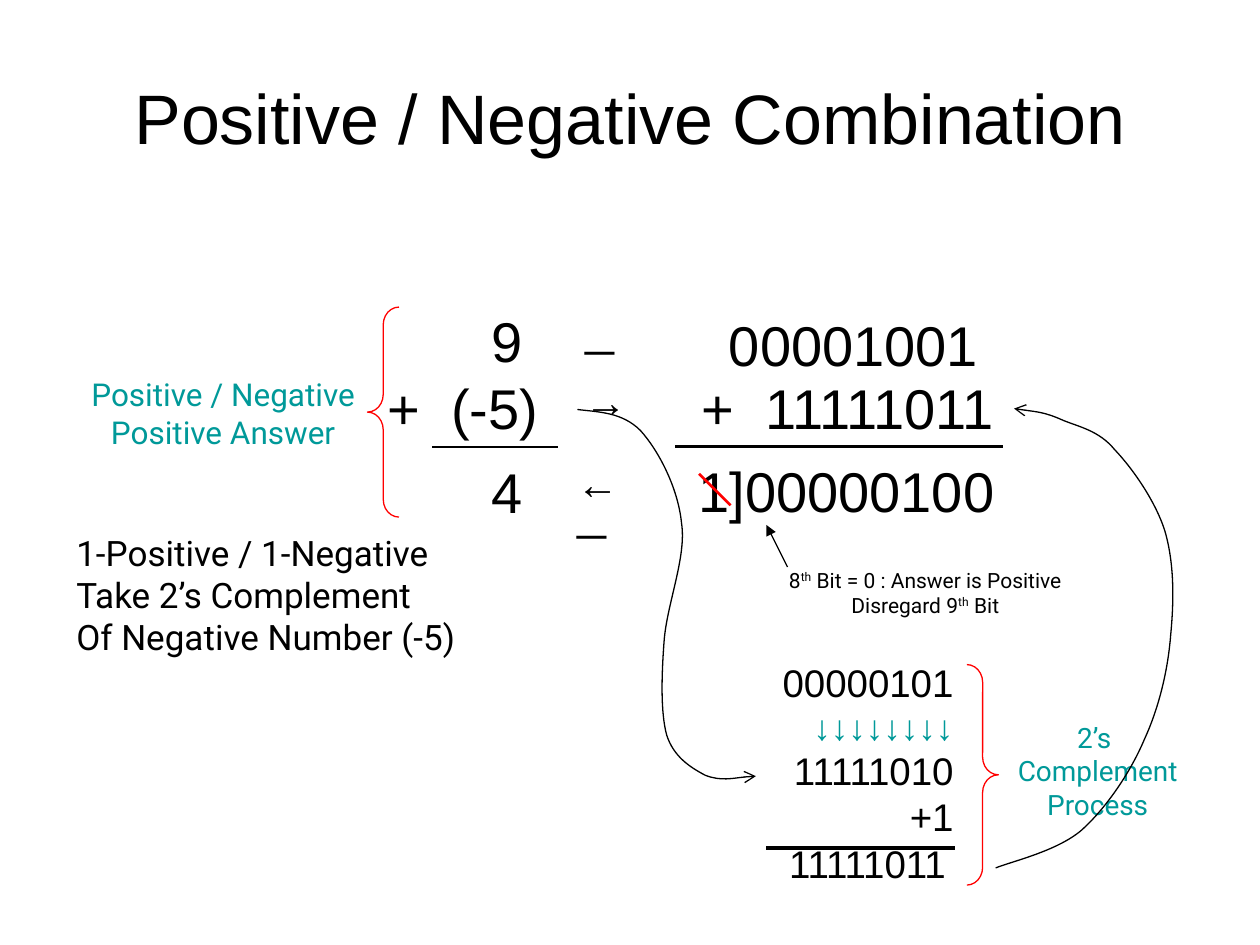
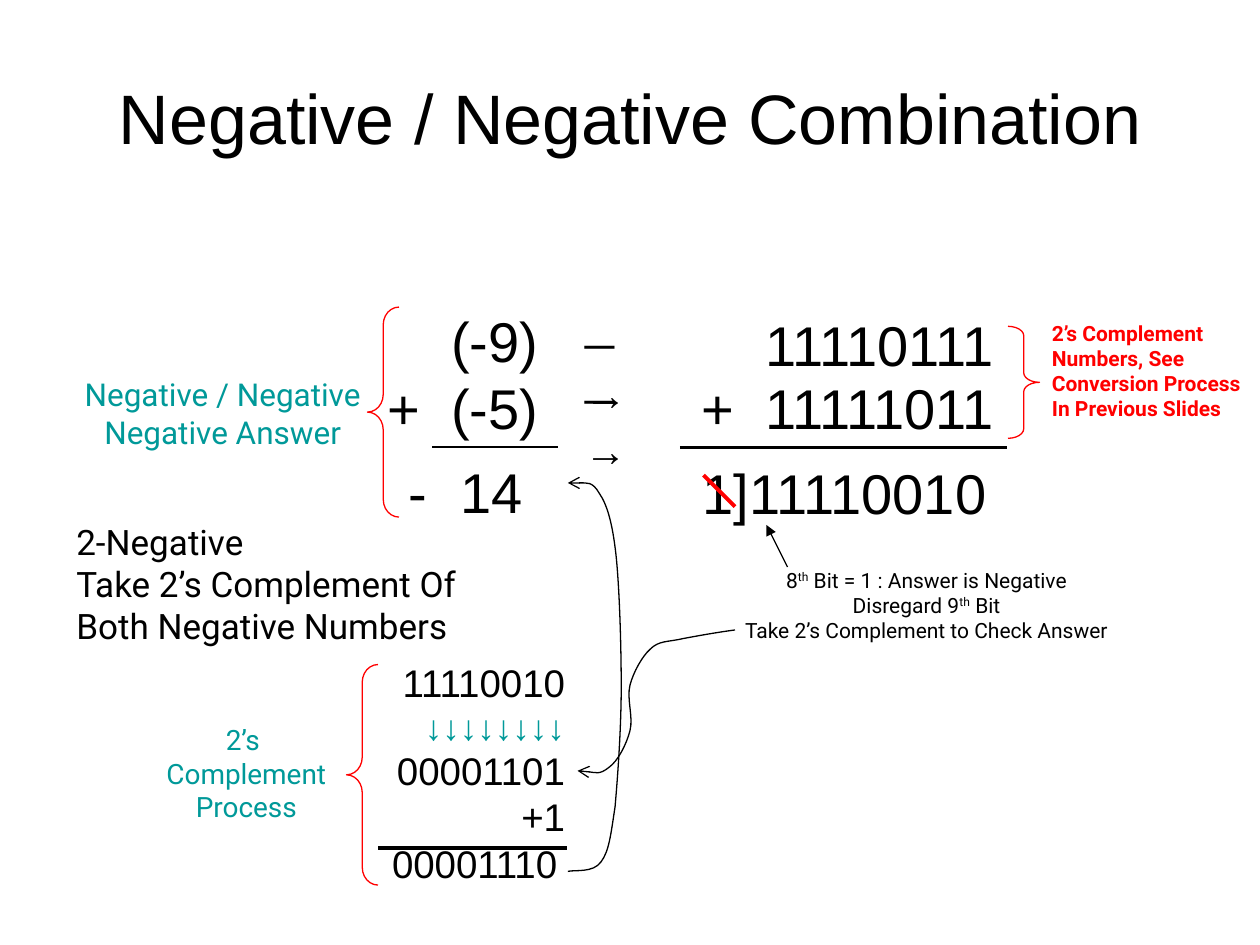
from lxml import etree
from pptx import Presentation
from pptx.dml.color import RGBColor
from pptx.enum.shapes import MSO_CONNECTOR, MSO_SHAPE
from pptx.enum.text import MSO_ANCHOR, MSO_AUTO_SIZE, PP_ALIGN
from pptx.oxml.ns import qn
from pptx.util import Pt

BLACK = RGBColor(0, 0, 0)
TEAL = RGBColor(0, 0x99, 0x99)
RED = RGBColor(0xFF, 0, 0)
SUM_FONT, NOTE_FONT = "Arial", "Roboto"
LEFT, CENTER, RIGHT = PP_ALIGN.LEFT, PP_ALIGN.CENTER, PP_ALIGN.RIGHT
STRAIGHT = MSO_CONNECTOR.STRAIGHT
LEFT_BRACE, RIGHT_BRACE = MSO_SHAPE.LEFT_BRACE, MSO_SHAPE.RIGHT_BRACE

# Tab stops (position, alignment) that line up signs and digits
SIGN_STOP = (22, "l")
MINUS_STOP = (12, "l")
BITS_END = (189, "r")
BITS_END_INSET = (180, "r")
BRACKET_END = (86, "r")
DIGIT_END = (77, "r")

# Content: places are in points, curves are a start and triples of Bezier points
SLIDES = [
    dict(
        title="Positive / Negative Combination",
        kind=["Positive / Negative", "Positive Answer"], kind_box=(42, 211, 171, 50),
        rule=["1-Positive / 1-Negative", "Take 2’s Complement", "Of Negative Number (-5)"],
        rule_box=(36.5, 300, 245, 79),
        decimal=[("\t9", [DIGIT_END]), ("+\t(-5)", [BRACKET_END]), ("\t4", [DIGIT_END])],
        top_bits=("\t00001001", [BITS_END_INSET]),
        answer="1]00000100", answer_left=386, answer_top=255, strike_width=1.5, strike_left=399.5,
        arrows=[("─→", 327, 182, 65), ("←─", 322.5, 258, 36)],
        bit_note=["8^th^ Bit = 0 : Answer is Positive", "Disregard 9^th^ Bit"],
        bit_note_box=(440.5, 320.5, 176.5, 36),
        process=["00000101", "11111010", "11111011"], process_left=414,
        process_brace=RIGHT_BRACE, process_brace_left=552.5, process_label=(571.5, 408),
        curves=[
            [(330, 234), (342, 235.5), (355.5, 235.5), (366, 246),
             (376, 257), (387.5, 278.5), (389.5, 299),
             (392.5, 318), (381, 345.5), (379.5, 366.5),
             (378, 386.5), (377.5, 407), (381, 420),
             (385, 432.5), (394.5, 438.5), (403, 443),
             (412, 446.5), (426, 443.5), (432, 443.5)],
            [(569, 496), (577.5, 492.5), (604, 486.5), (618, 474.5),
             (632, 462), (646, 441.5), (654, 422.5),
             (662.5, 404), (667.5, 382.5), (669, 363),
             (671, 342.5), (671, 322.5), (666, 304.5),
             (661, 287.5), (647.5, 268), (637, 257),
             (628, 246), (616.5, 244), (607, 240),
             (597, 235.5), (585.5, 234.5), (579.5, 233.5)],
        ],
    ),
    dict(
        title="Negative / Negative Combination",
        kind=["Negative / Negative", "Negative Answer"], kind_box=(36.5, 211, 181.5, 50),
        rule=["2-Negative", "Take 2’s Complement Of", "Both Negative Numbers"],
        rule_box=(36.5, 294, 248.5, 79),
        decimal=[("\t(-9)", [BRACKET_END]), ("+\t(-5)", [BRACKET_END]),
                 ("\t-\t14", [MINUS_STOP, DIGIT_END])],
        top_bits=("\t11110111", [BITS_END]),
        answer="1]11110010", answer_left=388.5, answer_top=255.75, strike_width=2.25,
        strike_left=402,
        arrows=[("─→", 327, 178.5, 36), ("─→", 327, 210, 36)],
        bit_note=["8^th^ Bit = 1 : Answer is Negative", "Disregard 9^th^ Bit",
                  "Take 2’s Complement to Check Answer"],
        bit_note_box=(413.5, 320.5, 232, 50.5),
        process=["11110010", "00001101", "00001110"], process_left=192,
        process_brace=LEFT_BRACE, process_brace_left=198, process_label=(85, 409.5),
        side_note=["2’s Complement", "Numbers, See", "Conversion Process", "In Previous Slides"],
        curves=[
            [(420, 360), (409, 361.5), (398, 363.5), (390, 365),
             (381.5, 367), (376.5, 366), (371.5, 371),
             (367, 375), (362, 384), (360, 391.5),
             (358, 399.5), (362, 409.5), (360, 417.5),
             (358, 425.5), (353, 435), (348, 438.5),
             (342.5, 443), (334, 440.5), (330, 440.5)],
            [(324.5, 498), (328.5, 497), (339, 499), (343.5, 492.5),
             (348, 486.5), (349, 477.5), (351.5, 461),
             (353, 444), (355, 416), (355, 392.5),
             (355, 368.5), (354, 335.5), (352, 317),
             (350, 299), (347, 288.5), (342.5, 282),
             (338.5, 275), (332, 276), (324.5, 276)],
        ],
    ),
]


def add_text(slide, lines, box, size, font=SUM_FONT, color=BLACK, bold=False,
             align=LEFT, wrap=True, grow=True, anchor=MSO_ANCHOR.TOP):
    """Each line is a string or (string, tab stops); ^marks^ enclose superscript."""
    frame = slide.shapes.add_textbox(*map(Pt, box)).text_frame
    frame.word_wrap = wrap
    frame.auto_size = MSO_AUTO_SIZE.SHAPE_TO_FIT_TEXT if grow else MSO_AUTO_SIZE.NONE
    frame.vertical_anchor = anchor
    for index, line in enumerate(lines):
        words, stops = (line, []) if isinstance(line, str) else line
        para = frame.paragraphs[0] if index == 0 else frame.add_paragraph()
        para.alignment = align
        if stops:
            tabs = etree.SubElement(para._p.get_or_add_pPr(), qn("a:tabLst"))
            for position, side in stops:
                etree.SubElement(tabs, qn("a:tab"), pos=str(Pt(position)), algn=side)
        for part, piece in enumerate(words.split("^")):
            run = para.add_run()
            run.text = piece
            run.font.size, run.font.name, run.font.bold = Pt(size), font, bold
            run.font.color.rgb = color
            if part % 2:
                run._r.get_or_add_rPr().set("baseline", "30000")
    return frame.paragraphs


def style_line(shape, color, width, head=None):
    shape.line.color.rgb = color
    shape.line.width = Pt(width)
    if head:
        etree.SubElement(shape.line._get_or_add_ln(), qn("a:tailEnd"), type=head)


def add_line(slide, x1, y1, x2, y2, color=BLACK, width=1.5, head=None):
    line = slide.shapes.add_connector(STRAIGHT, Pt(x1), Pt(y1), Pt(x2), Pt(y2))
    style_line(line, color, width, head)
    etree.SubElement(line._element.spPr, qn("a:effectLst"))


def add_brace(slide, form, left, top, height, bend=0.56):
    brace = slide.shapes.add_shape(form, Pt(left), Pt(top), Pt(18), Pt(height))
    brace.adjustments[0] = bend
    brace.fill.background()
    brace.shadow.inherit = False
    style_line(brace, RED, 0.75)


def add_curve(slide, points):
    start, *rest = [(Pt(x), Pt(y)) for x, y in points]
    builder = slide.shapes.build_freeform(*start)
    builder.add_line_segments(rest, close=False)
    curve = builder.convert_to_shape()
    # Turn each three straight segments into one Bezier segment
    segments = list(curve._element.iter(qn("a:lnTo")))
    for first in range(0, len(segments), 3):
        bezier = etree.Element(qn("a:cubicBezTo"))
        segments[first].addprevious(bezier)
        for segment in segments[first:first + 3]:
            bezier.append(segment[0])
            segment.getparent().remove(segment)
    curve.fill.background()
    curve.shadow.inherit = False
    style_line(curve, BLACK, 0.75, "arrow")


def add_decimal_sum(slide, c):
    rows = add_text(slide, c["decimal"], (214.5, 171.5, 109.5, 132.5), 32)
    rows[-1].line_spacing = 1.25
    add_line(slide, 247, 255.5, 319, 255.5)
    add_brace(slide, LEFT_BRACE, 210, 175.5, 120)
    add_text(slide, c["kind"], c["kind_box"], 18, font=NOTE_FONT, color=TEAL,
             align=CENTER, wrap=False)
    add_text(slide, c["rule"], c["rule_box"], 20, font=NOTE_FONT, wrap=False)
    for arrow, left, top, height in c["arrows"]:
        add_text(slide, [arrow], (left, top, 52.5, height), 24, wrap=False)


def add_binary_sum(slide, c):
    second = ("\t+\t11111011", [SIGN_STOP, BITS_END])
    for row, top in ((c["top_bits"], 174), (second, 210)):
        add_text(slide, [row], (372, top, 204, 46), 32)
    left, top = c["answer_left"] + 6, c["answer_top"]
    add_line(slide, left - 6, top, left + 181, top)
    add_text(slide, [c["answer"]], (left, top + 2.5, 183.5, 46), 32, wrap=False)
    # Struck-out ninth bit and the note on the eighth
    x, y = c["strike_left"], top + 15.75
    add_line(slide, x, y, x + 18, y + 18, color=RED, width=c["strike_width"])
    add_line(slide, 450, 324, 438, 300, width=0.75, head="triangle")
    add_text(slide, c["bit_note"], c["bit_note_box"], 12, font=NOTE_FONT,
             align=CENTER, wrap=False)


def add_complement_process(slide, c):
    left = c["process_left"]
    number, inverted, result = c["process"]
    rows = add_text(slide, [number, "↓" * 8, inverted, "+1", result],
                    (left, 373, 138, 137), 22, align=RIGHT)
    flips = rows[1].runs[0].font
    flips.size, flips.color.rgb = Pt(20), TEAL
    gap = rows[-1].add_run()
    gap.text, gap.font.size, gap.font.name = " ", Pt(16), SUM_FONT
    add_line(slide, left + 24, 484.5, left + 132, 484.5, width=2.25)
    add_brace(slide, c["process_brace"], c["process_brace_left"], 379.75, 126)
    add_text(slide, ["2’s ", "Complement", "Process"], (*c["process_label"], 111.5, 65), 16,
             font=NOTE_FONT, color=TEAL, align=CENTER, wrap=False)


def main():
    deck = Presentation()
    deck.slide_width, deck.slide_height = Pt(720), Pt(540)
    for c in SLIDES:
        slide = deck.slides.add_slide(deck.slide_layouts[6])
        add_text(slide, [c["title"]], (36, 21.5, 648, 90), 40, align=CENTER,
                 grow=False, anchor=MSO_ANCHOR.MIDDLE)
        add_decimal_sum(slide, c)
        add_binary_sum(slide, c)
        add_complement_process(slide, c)
        for points in c["curves"]:
            add_curve(slide, points)
        if "side_note" in c:
            add_text(slide, c["side_note"], (594, 179.5, 126, 79), 12, font=NOTE_FONT,
                     color=RED, bold=True)
            add_brace(slide, RIGHT_BRACE, 576, 186.5, 64, bend=0.3)
    deck.save("out.pptx")


if __name__ == "__main__":
    main()
